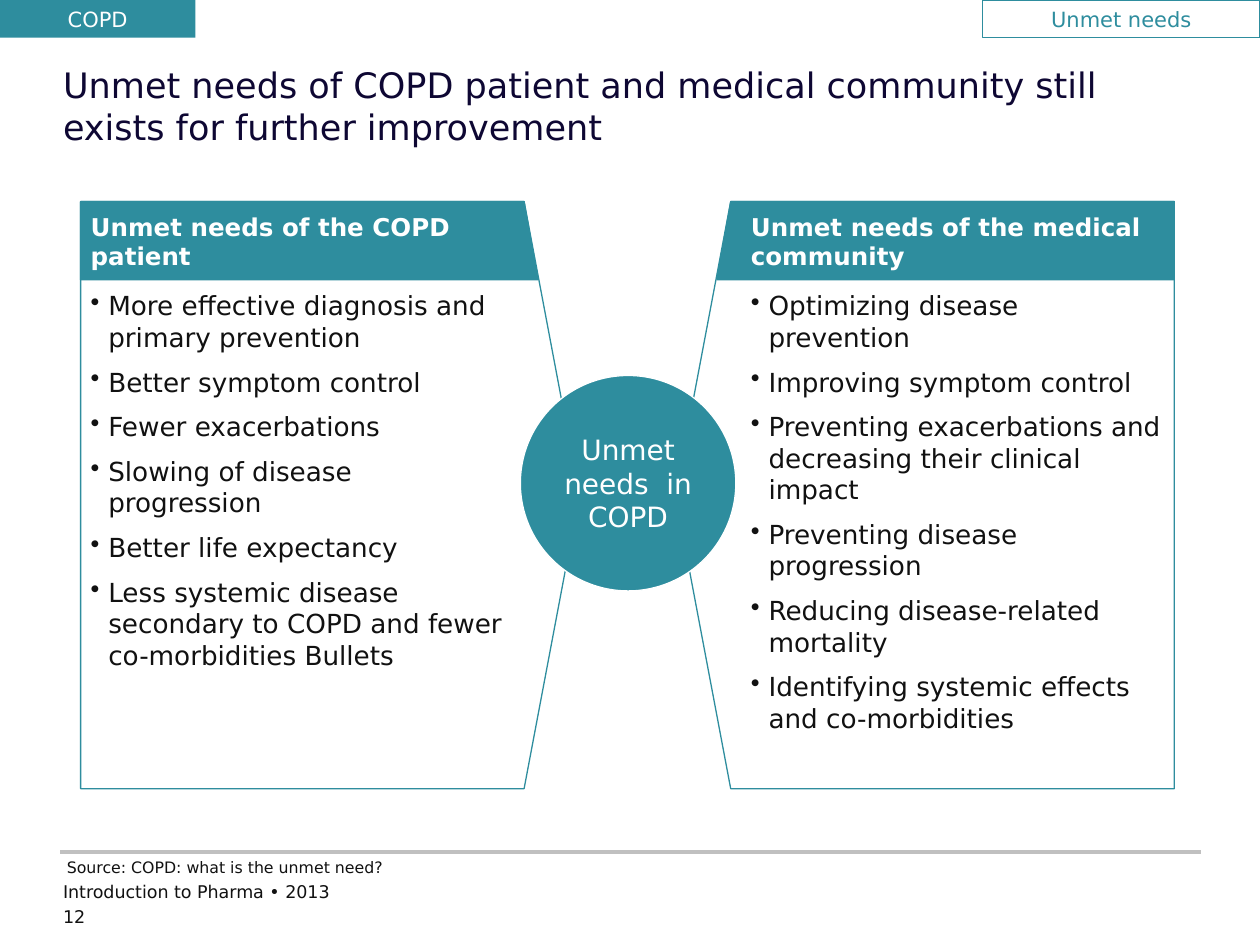
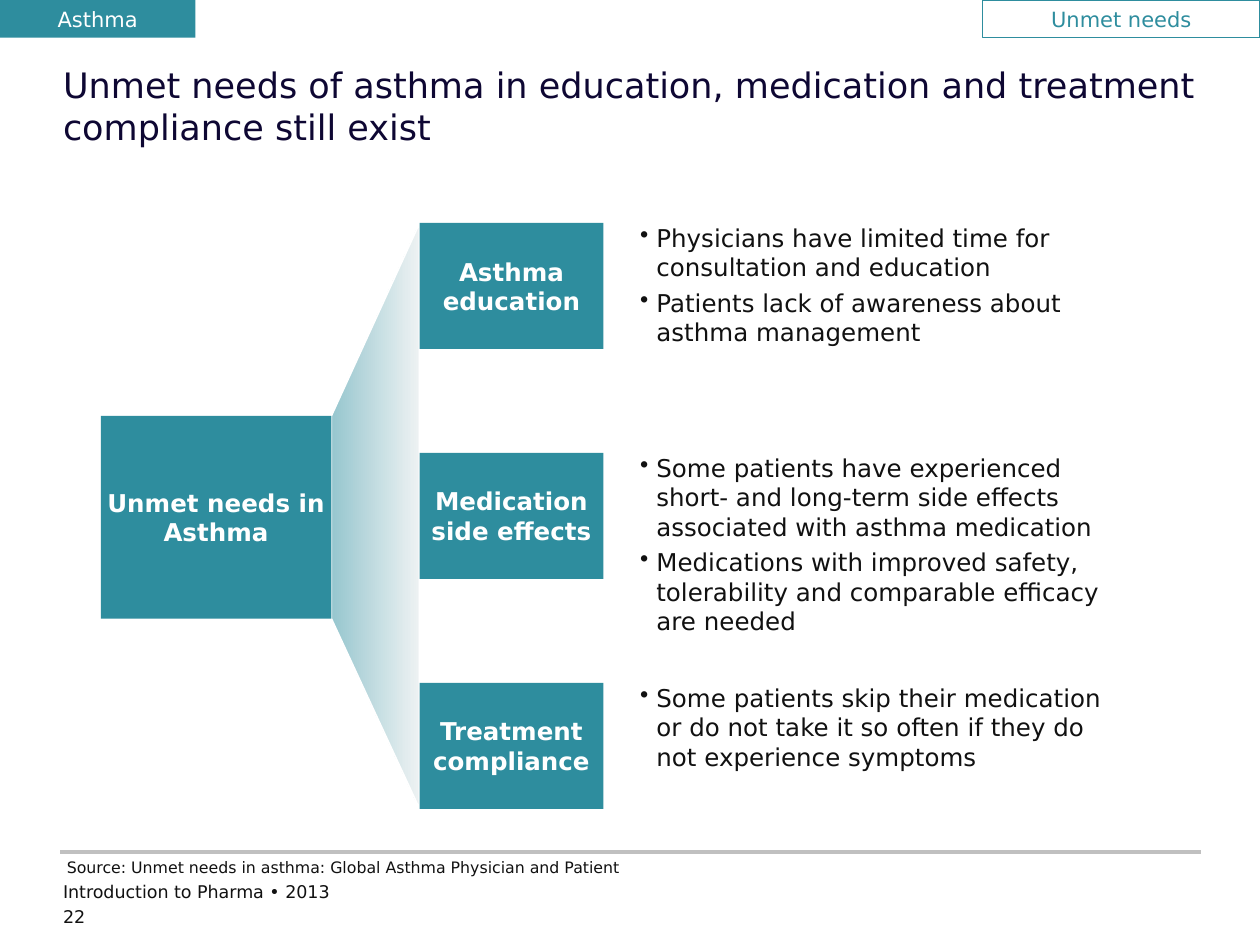
from lxml.etree import SubElement
from pptx import Presentation
from pptx.dml.color import RGBColor
from pptx.enum.shapes import MSO_CONNECTOR, MSO_SHAPE
from pptx.enum.text import MSO_ANCHOR, PP_ALIGN
from pptx.oxml.ns import qn
from pptx.util import Inches, Pt

TEAL = RGBColor(0x2E, 0x8D, 0x9E)
PALE_TEAL = RGBColor(0x96, 0xC6, 0xCE)
MIST = RGBColor(0xEE, 0xF2, 0xF3)
NAVY = RGBColor(0x0E, 0x07, 0x33)
INK = RGBColor(0x11, 0x11, 0x11)
GREY = RGBColor(0xC0, 0xC0, 0xC0)
WHITE = RGBColor(0xFF, 0xFF, 0xFF)
FONT = "DejaVu Sans"

TITLE = {"size": Pt(20), "color": NAVY}
TAB = {"size": Pt(12), "color": WHITE}
OUTLINE_TAB = {"size": Pt(12), "color": TEAL}
FOOTER = {"size": Pt(10), "color": INK}
SOURCE = {"size": Pt(9), "color": INK}
HEADING = {"size": Pt(14), "color": WHITE, "bold": True}
HUB = {"size": Pt(16), "color": WHITE}
NEED = {"size": Pt(15), "color": INK}
REASON = {"size": Pt(14), "color": INK}


def set_text(shape, lines, style, inset=0, align=PP_ALIGN.LEFT, anchor=MSO_ANCHOR.TOP, wrap=True):
    frame = shape.text_frame
    frame_format = {"word_wrap": wrap, "vertical_anchor": anchor}
    for side in ("left", "top", "right", "bottom"):
        frame_format[f"margin_{side}"] = Inches(inset)
    for name, value in frame_format.items():
        setattr(frame, name, value)
    frame.text = "\n".join(lines)
    for para in frame.paragraphs:
        para.alignment = align
        for span in para.runs:
            span.font.name = FONT
            for name, value in style.items():
                if name == "color":
                    span.font.color.rgb = value
                else:
                    setattr(span.font, name, value)


def add_text(page, box, lines, style, **layout):
    shape = page.shapes.add_textbox(*map(Inches, box))
    set_text(shape, lines, style, **layout)
    return shape


def add_bullets(page, box, lines, style, indent, gap, inset=0):
    shape = add_text(page, box, lines, style, inset=inset)
    for para in shape.text_frame.paragraphs:
        para.space_before = int(style["size"] * gap)
        properties = para._p.get_or_add_pPr()
        properties.set("marL", str(Inches(indent)))
        properties.set("indent", str(-Inches(indent)))
        SubElement(properties, qn("a:buChar")).set("char", "•")


def paint(shape, fill=None, line=None, width=0.75):
    shape.shadow.inherit = False
    if fill is None:
        shape.fill.background()
    else:
        shape.fill.solid()
        shape.fill.fore_color.rgb = fill
    if line is None:
        shape.line.fill.background()
    else:
        shape.line.color.rgb = line
        shape.line.width = Pt(width)


def add_block(page, kind, box, lines=(), style=None, fill=None, line=None, inset=0.05):
    shape = page.shapes.add_shape(kind, *map(Inches, box))
    paint(shape, fill, line)
    if lines:
        set_text(shape, lines, style, inset=inset, align=PP_ALIGN.CENTER, anchor=MSO_ANCHOR.MIDDLE)
    return shape


def add_outline(page, points):
    start, *rest = [(Inches(x), Inches(y)) for x, y in points]
    builder = page.shapes.build_freeform(*start)
    builder.add_line_segments(rest, close=True)
    return builder.convert_to_shape()


def add_footer(page, source, number):
    left, top = 0.5, 6.76
    rule = page.shapes.add_connector(
        MSO_CONNECTOR.STRAIGHT, Inches(0.48), Inches(top), Inches(9.53), Inches(top))
    rule.line.color.rgb = GREY
    rule.line.width = Pt(2)
    SubElement(rule._element.spPr, qn("a:effectLst"))
    add_text(page, (left + 0.03, top + 0.05, 4.48, 0.15), [source], SOURCE, wrap=False)
    add_text(page, (left, top + 0.23, 6.68, 0.23), ["Introduction to Pharma • 2013"], FOOTER)
    add_text(page, (left, top + 0.43, 0.48, 0.2), [number], FOOTER)


def add_page(deck, topic, title, source, number):
    page = deck.slides.add_slide(deck.slide_layouts[5])
    heading = page.shapes.title
    for name, value in zip(("left", "top", "width", "height"), (0.5, 0.5, 9, 1)):
        setattr(heading, name, Inches(value))
    set_text(heading, [title], TITLE)
    add_block(page, MSO_SHAPE.RECTANGLE, (0, 0, 1.55, 0.3), [topic], TAB, fill=TEAL)
    add_block(page, MSO_SHAPE.RECTANGLE, (7.8, 0, 2.2, 0.3), ["Unmet needs"], OUTLINE_TAB, line=TEAL)
    add_footer(page, source, number)
    return page


def add_needs_panel(page, box, heading, needs, mirrored=False):
    left, top, width, height = box
    header_height, text_width, slant = 0.62, 3.44, 0.44
    panel = add_block(page, MSO_SHAPE.PENTAGON, box, fill=WHITE, line=TEAL)
    panel.adjustments[0] = slant / min(width, height)
    if mirrored:
        panel._element.spPr.xfrm.set("flipH", "1")

    def across(offset):
        return left + width - offset if mirrored else left + offset

    header_bottom = top + header_height
    header = add_outline(page, [
        (across(0), top), (across(width - slant), top),
        (across(width - slant + 0.11), header_bottom), (across(0), header_bottom)])
    paint(header, TEAL, TEAL)
    text_left = min(across(0), across(text_width))
    add_text(page, (text_left, top, text_width, header_height), [heading], HEADING, inset=0.08)
    add_bullets(page, (text_left, header_bottom, text_width, height - header_height),
                needs, NEED, indent=0.14, gap=0.5, inset=0.08)


def add_fan(page, left, right, narrow, wide):
    fan = add_outline(page, [
        (left, narrow[0]), (right, wide[0]), (right, wide[1]), (left, narrow[1])])
    paint(fan, MIST, WHITE, 1)
    fan.fill.gradient()
    fan.fill.gradient_angle = 0
    for stop, color in zip(fan.fill.gradient_stops, (PALE_TEAL, MIST)):
        stop.color.rgb = color


def add_theme_row(page, box, theme, reasons):
    left, top, width, height = box
    label_width, gap = 1.46, 0.29
    add_block(page, MSO_SHAPE.RECTANGLE, (left, top, label_width, height), [theme], HEADING, fill=TEAL)
    text_left = left + label_width + gap
    add_bullets(page, (text_left, top, left + width - text_left, height),
                reasons, REASON, indent=0.13, gap=0.25)


def build_copd_page(deck):
    page = add_page(
        deck, "COPD",
        "Unmet needs of COPD patient and medical community still exists for further improvement",
        "Source: COPD: what is the unmet need?", "12")
    top, width, height = 1.6, 3.96, 4.66
    add_needs_panel(page, (0.64, top, width, height), "Unmet needs of the COPD patient", [
        "More effective diagnosis and primary prevention",
        "Better symptom control",
        "Fewer exacerbations",
        "Slowing of disease progression",
        "Better life expectancy",
        "Less systemic disease secondary to COPD and fewer co-morbidities Bullets",
    ])
    add_needs_panel(page, (5.36, top, width, height), "Unmet needs of the medical community", [
        "Optimizing disease prevention",
        "Improving symptom control",
        "Preventing exacerbations and decreasing their clinical impact",
        "Preventing disease progression",
        "Reducing disease-related mortality",
        "Identifying systemic effects and co-morbidities",
    ], mirrored=True)
    add_block(page, MSO_SHAPE.OVAL, (4.13, 2.98, 1.71, 1.71),
              ["Unmet needs  in COPD"], HUB, fill=TEAL, line=WHITE, inset=0.04)


def build_asthma_page(deck):
    page = add_page(
        deck, "Asthma",
        "Unmet needs of asthma in education, medication and treatment compliance still exist",
        "Source: Unmet needs in asthma: Global Asthma Physician and Patient", "22")
    themes = {
        "Asthma education": [
            "Physicians have limited time for consultation and education",
            "Patients lack of awareness about asthma management",
        ],
        "Medication side effects": [
            "Some patients have experienced short- and long-term side effects "
            "associated with asthma medication",
            "Medications with improved safety, tolerability and comparable efficacy are needed",
        ],
        "Treatment compliance": [
            "Some patients skip their medication or do not take it so often "
            "if they do not experience symptoms",
        ],
    }
    left, top, pitch, row_height = 3.33, 1.77, 1.825, 1
    bottom = top + pitch * (len(themes) - 1) + row_height
    root_left, root_top, root_width, root_height = 0.8, 3.3, 1.83, 1.61
    add_fan(page, root_left + root_width, left, (root_top, root_top + root_height), (top, bottom))
    add_block(page, MSO_SHAPE.RECTANGLE, (root_left, root_top, root_width, root_height),
              ["Unmet needs in Asthma"], HEADING, fill=TEAL)
    for row, (theme, reasons) in enumerate(themes.items()):
        add_theme_row(page, (left, top + row * pitch, 5.58, row_height), theme, reasons)


def main():
    deck = Presentation()
    deck.slide_width, deck.slide_height = Inches(10), Inches(7.5)
    build_copd_page(deck)
    build_asthma_page(deck)
    deck.save("out.pptx")


if __name__ == "__main__":
    main()
